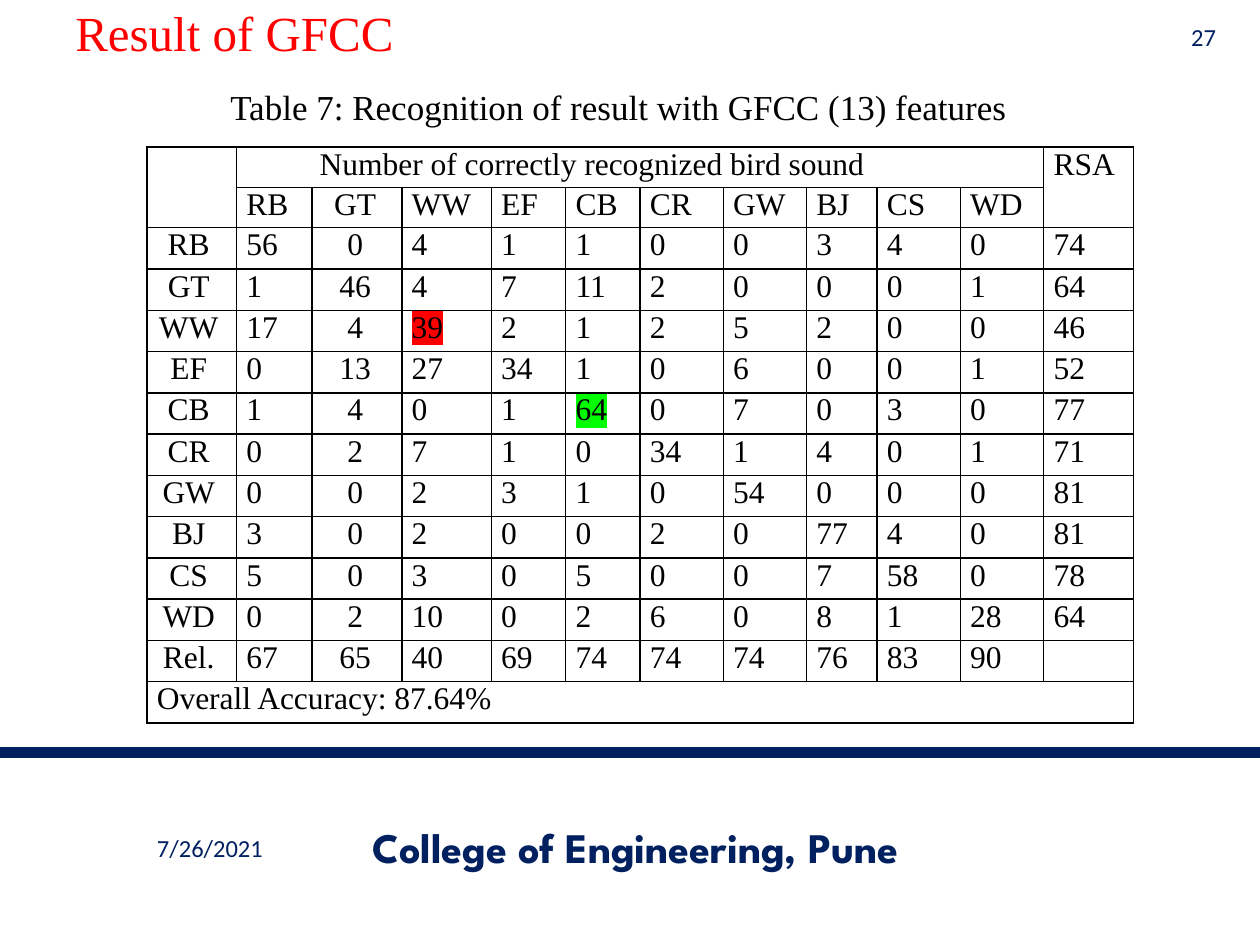
from lxml import etree
from pptx import Presentation
from pptx.dml.color import RGBColor
from pptx.enum.shapes import MSO_CONNECTOR
from pptx.enum.text import MSO_ANCHOR, PP_ALIGN
from pptx.oxml.ns import qn
from pptx.util import Pt

LEFT, CENTER, RIGHT = PP_ALIGN.LEFT, PP_ALIGN.CENTER, PP_ALIGN.RIGHT
TOP, MIDDLE = MSO_ANCHOR.TOP, MSO_ANCHOR.MIDDLE
STRAIGHT = MSO_CONNECTOR.STRAIGHT

COLORS = {"navy": "002060", "black": "000000", "red": "FF0000", "green": "00FF00"}
SERIF = "Times New Roman"

# text, (left, top, width, height), size, font, colour, alignment, anchor, bold
TEXTS = [
    ("7/26/2021", (36, 470, 168, 29), 14, "Calibri", "navy", CENTER, MIDDLE, False),
    ("College of Engineering, Pune", (174, 469.5, 378, 29), 24, "League Spartan",
     "navy", CENTER, MIDDLE, True),
    ("27", (666, 11, 36, 20), 14, "Calibri", "navy", RIGHT, MIDDLE, False),
    ("Table 7: Recognition of result with GFCC (13) features", (38.5, 45.5, 630, 55),
     20, SERIF, "black", CENTER, TOP, False),
    ("Result of GFCC", (36, -6, 648, 49), 28, SERIF, "red", LEFT, MIDDLE, False),
]

HEADING = "Number of correctly recognized bird sound"
BIRDS = ["RB", "GT", "WW", "EF", "CB", "CR", "GW", "BJ", "CS", "WD"]
COUNTS = [
    [56, 0, 4, 1, 1, 0, 0, 3, 4, 0],
    [1, 46, 4, 7, 11, 2, 0, 0, 0, 1],
    [17, 4, 39, 2, 1, 2, 5, 2, 0, 0],
    [0, 13, 27, 34, 1, 0, 6, 0, 0, 1],
    [1, 4, 0, 1, 64, 0, 7, 0, 3, 0],
    [0, 2, 7, 1, 0, 34, 1, 4, 0, 1],
    [0, 0, 2, 3, 1, 0, 54, 0, 0, 0],
    [3, 0, 2, 0, 0, 2, 0, 77, 4, 0],
    [5, 0, 3, 0, 5, 0, 0, 7, 58, 0],
    [0, 2, 10, 0, 2, 6, 0, 8, 1, 28],
]
RSA = [74, 64, 46, 52, 77, 71, 81, 81, 78, 64]
RELIABILITY = [67, 65, 40, 69, 74, 74, 74, 76, 83, 90]
ACCURACY = "Overall Accuracy: 87.64%"
HIGHLIGHTS = {("WW", "WW"): "red", ("CB", "CB"): "green"}

COLUMN_WIDTHS = [51.2, 43.2, 51.2, 51.2, 42.5, 42.5, 47.6, 47.6, 40.3, 47.6, 47.6, 51.2]
HEADER_HEIGHT, ROW_HEIGHT = 23.1, 23.6
TABLE_LEFT, TABLE_TOP = 84, 84
CELL_INDENT, HEADING_INDENT = 5.6, 47.5
CENTERED_COLUMNS = {0: 3.5, 2: 2}  # column: right indent


def rgb(name):
    return RGBColor.from_string(COLORS[name])


def style(paragraph, size, font, color, align, bold=False):
    paragraph.alignment = align
    paragraph.font.size = Pt(size)
    paragraph.font.name = font
    paragraph.font.bold = bold
    paragraph.font.color.rgb = rgb(color)


def add_solid_fill(parent, color):
    fill = etree.SubElement(parent, qn("a:solidFill"))
    etree.SubElement(fill, qn("a:srgbClr"), val=COLORS[color])


def add_text(slide, text, box, size, font, color, align, anchor, bold):
    frame = slide.shapes.add_textbox(*map(Pt, box)).text_frame
    frame.word_wrap = True
    frame.vertical_anchor = anchor
    frame.text = text
    style(frame.paragraphs[0], size, font, color, align, bold)


def format_cell(cell):
    cell.margin_left = cell.margin_right = cell.margin_top = cell.margin_bottom = 0
    cell.fill.background()
    properties = cell._tc.get_or_add_tcPr()
    for position, side in enumerate(("lnL", "lnR", "lnT", "lnB")):
        border = etree.Element(qn(f"a:{side}"), w=str(Pt(1)))
        add_solid_fill(border, "black")
        properties.insert(position, border)


def fill_cell(cell, text, align=LEFT, left=0, right=0, highlight=None):
    paragraph = cell.text_frame.paragraphs[0]
    run = paragraph.add_run()
    run.text = str(text)
    properties = paragraph._p.get_or_add_pPr()
    properties.set("marL", str(Pt(left)))
    properties.set("marR", str(Pt(right)))
    style(paragraph, 18, SERIF, "black", align)
    if highlight:
        mark = etree.SubElement(run._r.get_or_add_rPr(), qn("a:highlight"))
        etree.SubElement(mark, qn("a:srgbClr"), val=COLORS[highlight])


def add_results(slide):
    rows = [["", HEADING] + [""] * 9 + ["RSA"], ["", *BIRDS, ""]]
    rows += [[bird, *counts, rsa] for bird, counts, rsa in zip(BIRDS, COUNTS, RSA)]
    rows += [["Rel.", *RELIABILITY, ""], [ACCURACY] + [""] * 11]
    heights = [HEADER_HEIGHT] * 2 + [ROW_HEIGHT] * (len(rows) - 2)
    table = slide.shapes.add_table(
        len(rows), len(COLUMN_WIDTHS), Pt(TABLE_LEFT), Pt(TABLE_TOP),
        Pt(sum(COLUMN_WIDTHS)), Pt(sum(heights))).table
    table.first_row = table.horz_banding = False
    for column, width in zip(table.columns, COLUMN_WIDTHS):
        column.width = Pt(width)
    for row, height in zip(table.rows, heights):
        row.height = Pt(height)

    last_row, last_column = len(rows) - 1, len(COLUMN_WIDTHS) - 1
    for start, end in [((0, 0), (1, 0)), ((0, 1), (0, last_column - 1)),
                       ((0, last_column), (1, last_column)),
                       ((last_row, 0), (last_row, last_column))]:
        table.cell(*start).merge(table.cell(*end))

    for r, values in enumerate(rows):
        for c, value in enumerate(values):
            cell = table.cell(r, c)
            format_cell(cell)
            if value == "":
                continue
            if c in CENTERED_COLUMNS and r < last_row:
                fill_cell(cell, value, CENTER, right=CENTERED_COLUMNS[c])
            else:
                indent = HEADING_INDENT if value == HEADING else CELL_INDENT
                fill_cell(cell, value, left=indent,
                          highlight=HIGHLIGHTS.get((values[0], rows[1][c])))


def main():
    presentation = Presentation()
    presentation.slide_width, presentation.slide_height = Pt(720), Pt(540)
    slide = presentation.slides.add_slide(presentation.slide_layouts[6])

    footer_rule = slide.shapes.add_connector(STRAIGHT, Pt(0), Pt(430), Pt(720), Pt(430))
    footer_rule.line.color.rgb = rgb("navy")
    footer_rule.line.width = Pt(6.5)
    etree.SubElement(footer_rule._element.spPr, qn("a:effectLst"))

    for entry in TEXTS:
        add_text(slide, *entry)
    add_results(slide)
    presentation.save("out.pptx")


if __name__ == "__main__":
    main()
